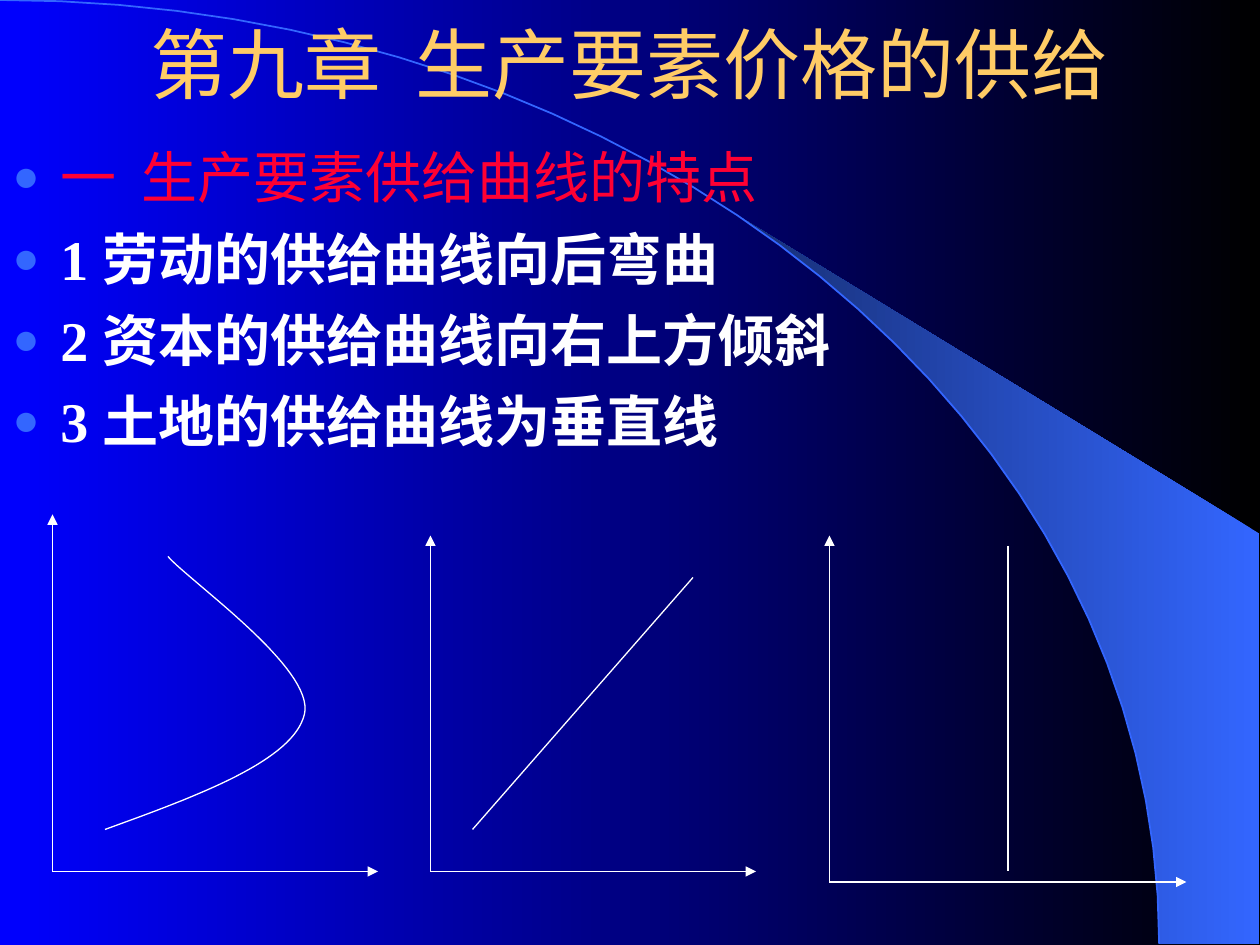
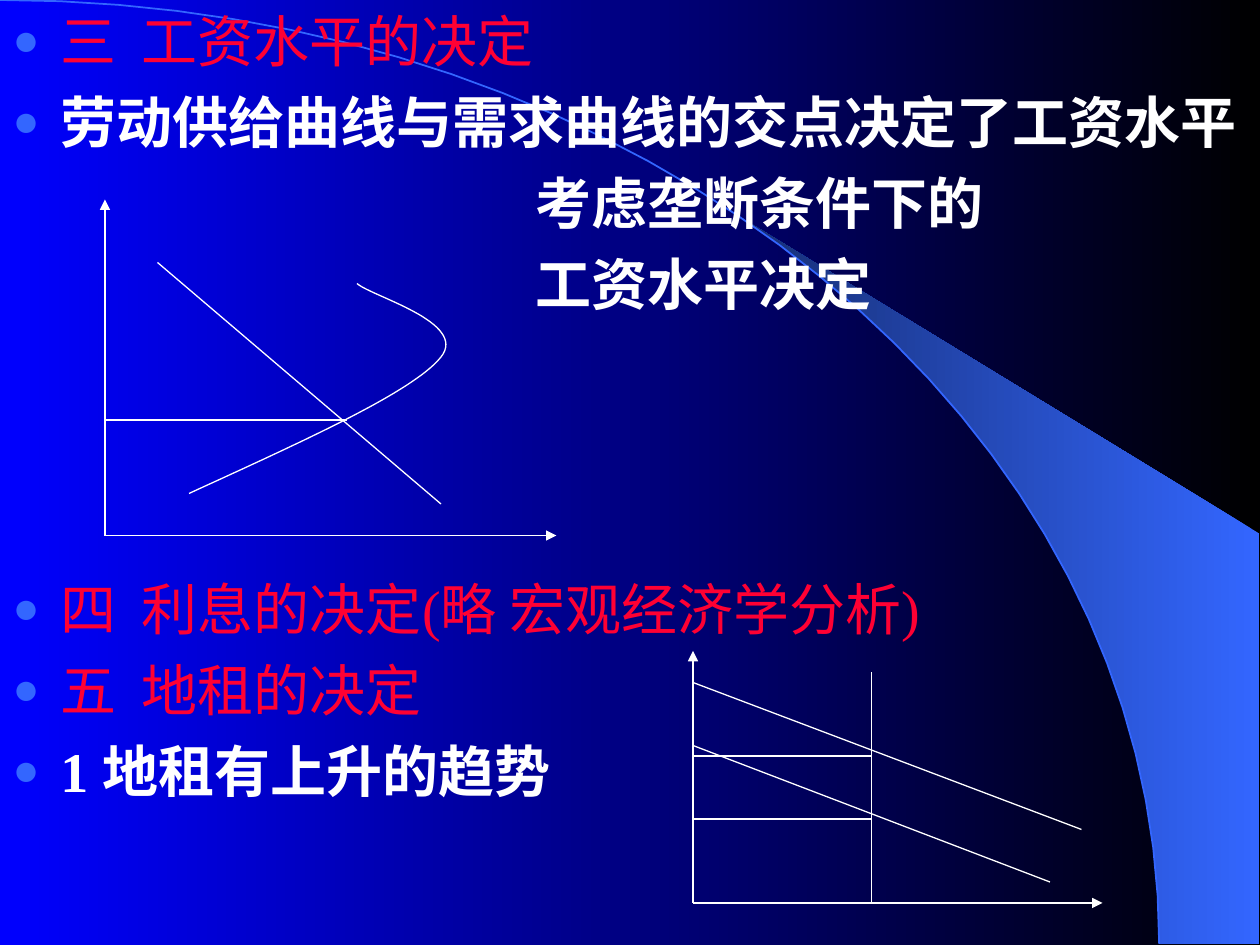
from dataclasses import dataclass

from lxml.etree import SubElement
from pptx import Presentation
from pptx.dml.color import RGBColor as Rgb
from pptx.enum.shapes import MSO_CONNECTOR as Connector
from pptx.enum.text import MSO_ANCHOR as Anchor, MSO_AUTO_SIZE as AutoSize, PP_ALIGN as Align
from pptx.oxml.ns import qn
from pptx.util import Inches, Pt

COLUMNS, ROWS = 120, 90


@dataclass(frozen=True)
class Theme:
    black: str = "000000"
    blue: str = "0000FF"
    glow: str = "3366FF"
    dusk: str = "172F75"
    title: str = "FFCC66"
    heading: str = "FF0033"
    text: str = "FFFFFF"
    title_font: str = "Arial"
    body_font: str = "Times New Roman"
    title_size: int = 44
    body_size: int = 32
    space_before: int = 8
    bullet_percent: int = 80
    bullet_indent: float = 0.38
    thin: float = 0.75
    arc_line: float = 1


@dataclass(frozen=True)
class Item:
    text: str
    heading: bool = False
    bullet: bool = True
    indent: float = Theme.bullet_indent
    space: float = Theme.space_before


def bezier(start, *segments, steps=32):
    """Points along joined cubic curves; a segment is two handles and an end."""
    points = [start]
    for handle_a, handle_b, end in segments:
        corners = (points[-1], handle_a, handle_b, end)
        for step in range(1, steps + 1):
            t = step / steps
            weights = ((1 - t) ** 3, 3 * t * (1 - t) ** 2, 3 * t * t * (1 - t), t ** 3)
            points.append(tuple(sum(w * corner[axis] for w, corner in zip(weights, corners))
                                for axis in (0, 1)))
    return points


class Lecture:
    """Holds the deck, its theme and the current page; lengths are grid units."""

    def __init__(self, theme):
        self.theme = theme
        self.deck = Presentation()
        self.deck.slide_width, self.deck.slide_height = Inches(10), Inches(7.5)
        self.page = None

    def place(self, column, row):
        return (round(column * self.deck.slide_width / COLUMNS),
                round(row * self.deck.slide_height / ROWS))

    def add_page(self):
        self.page = self.deck.slides.add_slide(self.deck.slide_layouts[1])

    def gradient(self, fill, *colours):
        fill.gradient()
        fill.gradient_angle = 180
        for stop, colour in zip(fill.gradient_stops, colours):
            stop.color.rgb = Rgb.from_string(colour)

    def stroke(self, line, colour, width):
        line.color.rgb = Rgb.from_string(colour)
        line.width = Pt(width)

    def outline(self, points, closed=False):
        start, *rest = [self.place(*point) for point in points]
        builder = self.page.shapes.build_freeform(*start)
        builder.add_line_segments(rest, close=closed)
        shape = builder.convert_to_shape()
        shape.shadow.inherit = False
        shape.fill.background()
        return shape

    def backdrop(self):
        """Put the gradient, the fan and the arc on the slide master."""
        theme, master = self.theme, self.deck.slide_master
        self.gradient(master.background.fill, theme.black, theme.blue)
        arc_points = bezier((0, 0), ((61, 0), (110.4, 40.2), (110.4, 89.9)))
        fan_tip = (70.7, 20.8)
        fan_edge = [point for point in arc_points if point[0] > fan_tip[0]]
        fan = self.outline([fan_tip, *fan_edge, (119.9, 89.9), (119.9, 50.8)], closed=True)
        self.gradient(fan.fill, theme.glow, theme.dusk)
        fan.line.fill.background()
        arc = self.outline(arc_points)
        self.stroke(arc.line, theme.glow, theme.arc_line)
        for number, shape in enumerate((fan, arc), 20):
            shape.element.nvSpPr.cNvPr.id = number
            master.element.cSld.spTree.append(shape.element)

    def fit(self, holder, top, height):
        holder.left, holder.top = self.place(0, top)
        holder.width, holder.height = self.place(COLUMNS, height)
        holder.text_frame.word_wrap = True
        holder.text_frame.auto_size = AutoSize.NONE

    def font(self, para, name, size, colour, bold=False):
        para.font.name, para.font.size, para.font.bold = name, Pt(size), bold
        para.font.color.rgb = Rgb.from_string(colour)

    def title(self, text):
        holder = self.page.shapes.title
        self.fit(holder, 0, 12)
        holder.text_frame.vertical_anchor = Anchor.MIDDLE
        para = holder.text_frame.paragraphs[0]
        para.text, para.alignment = text, Align.CENTER
        self.font(para, self.theme.title_font, self.theme.title_size, self.theme.title)

    def no_title(self):
        holder = self.page.shapes.title.element
        holder.getparent().remove(holder)

    def bullet(self, para, item):
        properties = para._p.get_or_add_pPr()
        properties.set("marL", str(Inches(item.indent)))
        properties.set("indent", str(-Inches(item.indent) if item.bullet else 0))
        if item.bullet:
            colour = SubElement(properties, qn("a:buClr"))
            SubElement(colour, qn("a:srgbClr"), val=self.theme.glow)
            SubElement(properties, qn("a:buSzPct"), val=str(self.theme.bullet_percent * 1000))
            SubElement(properties, qn("a:buChar"), char="●")
        else:
            SubElement(properties, qn("a:buNone"))

    def body(self, top, items):
        theme, holder = self.theme, self.page.placeholders[1]
        self.fit(holder, top, ROWS - top)
        frame = holder.text_frame
        for index, item in enumerate(items):
            para = frame.add_paragraph() if index else frame.paragraphs[0]
            para.text = item.text
            self.bullet(para, item)
            para.space_before = Pt(item.space if index else 0)
            self.font(para, theme.body_font, theme.body_size,
                      theme.heading if item.heading else theme.text, not item.heading)

    def line(self, start, end, arrow=False):
        link = self.page.shapes.add_connector(Connector.STRAIGHT, *self.place(*start),
                                              *self.place(*end))
        self.stroke(link.line, self.theme.text, self.theme.thin)
        if arrow:
            SubElement(link.line._get_or_add_ln(), qn("a:tailEnd"), type="triangle")
        SubElement(link.element.spPr, qn("a:effectLst"))

    def axes(self, origin, top, right):
        self.line(origin, (origin[0], top), arrow=True)
        self.line(origin, (right, origin[1]), arrow=True)

    def curve(self, start, *segments):
        shape = self.outline(bezier(start, *segments))
        self.stroke(shape.line, self.theme.text, self.theme.thin)


def supply_curves(lecture):
    lecture.title("第九章  生产要素价格的供给")
    lecture.body(13, [
        Item("一  生产要素供给曲线的特点", heading=True),
        Item("1 劳动的供给曲线向后弯曲"),
        Item("2 资本的供给曲线向右上方倾斜"),
        Item("3 土地的供给曲线为垂直线"),
    ])
    for origin, top, right in (((5, 83), 49, 36), ((41, 83), 51, 72), ((79, 84), 51, 113)):
        lecture.axes(origin, top, right)
    lecture.curve((10, 79), ((19, 75.75), (28, 72.4), (29, 68)),
                  ((30, 63.7), (18.1, 55.4), (16, 53)))
    lecture.line((45, 79), (66, 55))
    lecture.line((96, 52), (96, 83))


def wages_and_rent(lecture):
    lecture.no_title()
    aside = dict(bullet=False, indent=4.15)
    lecture.body(0, [
        Item("三  工资水平的决定", heading=True),
        Item("劳动供给曲线与需求曲线的交点决定了工资水平"),
        Item("考虑垄断条件下的", **aside),
        Item("工资水平决定", **aside),
        Item("四  利息的决定(略 宏观经济学分析)", heading=True, space=147),
        Item("五  地租的决定", heading=True),
        Item("1 地租有上升的趋势"),
    ])
    # Labour market
    lecture.axes((10, 51), 19, 53)
    lecture.line((15, 25), (42, 48))
    lecture.curve((18, 47), ((28.7, 42.1), (39.4, 37.3), (42, 34)),
                  ((44.64, 30.7), (35.3, 28.2), (34, 27)))
    lecture.line((33, 40), (10, 40))
    # Land market
    axis, supply, base = 66, 83, 86
    lecture.axes((axis, base), 62, 105)
    lecture.line((supply, base), (supply, 64))
    for demand_start, demand_end, rent in ((65, (103, 79), 72), (71, (100, 84), 78)):
        lecture.line((axis, demand_start), demand_end)
        lecture.line((supply, rent), (axis, rent))


def main():
    lecture = Lecture(Theme())
    lecture.add_page()
    lecture.backdrop()
    supply_curves(lecture)
    lecture.add_page()
    wages_and_rent(lecture)
    lecture.deck.save("out.pptx")


if __name__ == "__main__":
    main()
